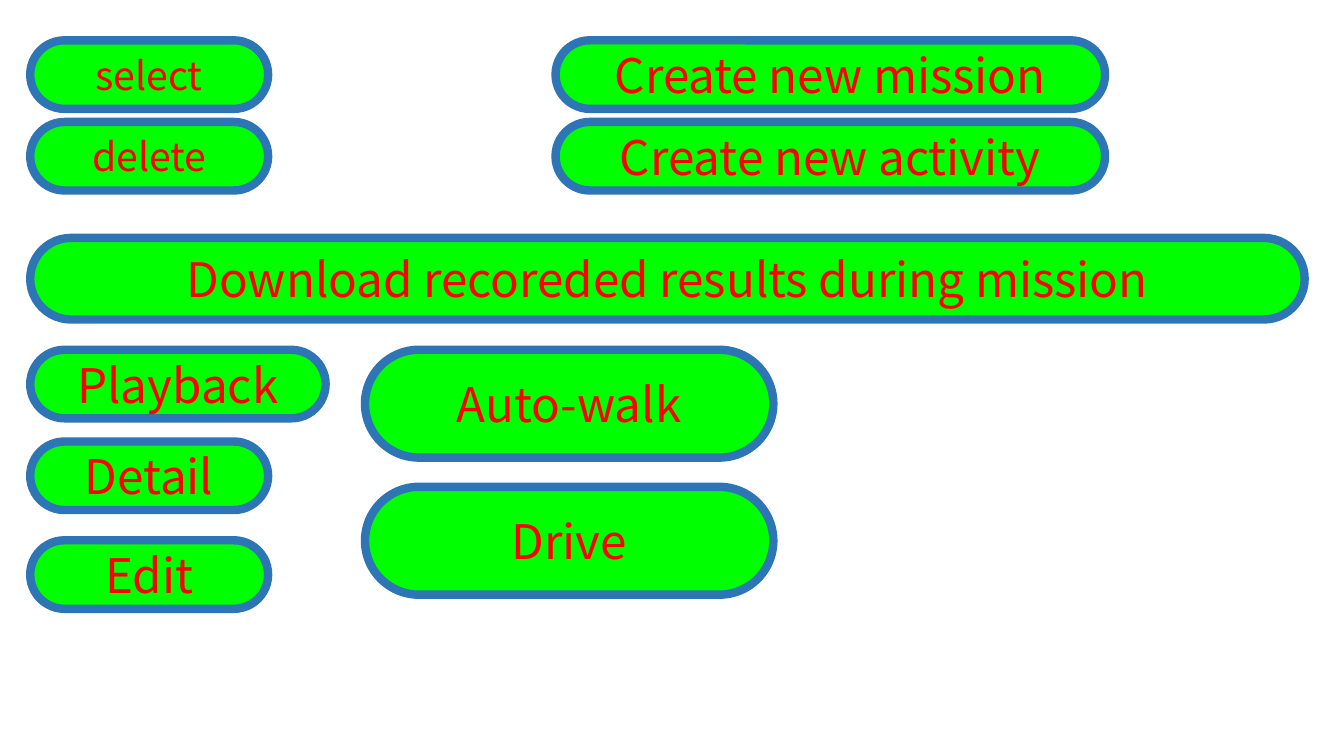
from pptx import Presentation
from pptx import util as u
from pptx.dml.color import RGBColor
from pptx.enum import shapes, text

PX = u.Inches(1) // 100  # 100 px to the inch
COLORS = {"fill": "00FF00", "border": "2E75B6", "label": "FF0000"}
FONT = "Noto Sans CJK KR"
LARGE, SMALL = 34, 28

LEFT, MIDDLE, RIGHT = 30, 362, 551
NARROW, PLAYBACK, MODE, CREATE, FULL = 236, 293, 405, 545, 1264
ROW, BANNER, TALL = 68, 81, 107

# label, left, top, width, height, font size
BUTTONS = [
    ("select", LEFT, 40, NARROW, ROW, SMALL),
    ("delete", LEFT, 121, NARROW, ROW, SMALL),
    ("Create new mission", RIGHT, 40, CREATE, ROW, LARGE),
    ("Create new activity", RIGHT, 121, CREATE, ROW, LARGE),
    ("Download recoreded results during mission", LEFT, 236, FULL, BANNER, LARGE),
    ("Playback", LEFT, 347, PLAYBACK, ROW, LARGE),
    ("Detail", LEFT, 438, NARROW, ROW, LARGE),
    ("Edit", LEFT, 536, NARROW, ROW, LARGE),
    ("Auto-walk", MIDDLE, 347, MODE, TALL, LARGE),
    ("Drive", MIDDLE, 483, MODE, TALL, LARGE),
]


def color(name):
    return RGBColor.from_string(COLORS[name])


def add_button(slide, label, left, top, width, height, size):
    shape = slide.shapes.add_shape(
        shapes.MSO_SHAPE.ROUNDED_RECTANGLE,
        left * PX, top * PX, width * PX, height * PX)
    shape.adjustments[0] = 0.5
    shape.shadow.inherit = False
    shape.fill.solid()
    shape.fill.fore_color.rgb = color("fill")
    shape.line.color.rgb = color("border")
    shape.line.width = u.Pt(6)

    frame = shape.text_frame
    frame.word_wrap = True
    frame.vertical_anchor = text.MSO_ANCHOR.MIDDLE
    paragraph = frame.paragraphs[0]
    paragraph.text = label
    paragraph.alignment = text.PP_ALIGN.CENTER
    paragraph.font.name = FONT
    paragraph.font.size = u.Pt(size)
    paragraph.font.color.rgb = color("label")


def main():
    presentation = Presentation()
    presentation.slide_width = 1333 * PX
    presentation.slide_height = 750 * PX
    blank_layout = presentation.slide_layouts[6]
    slide = presentation.slides.add_slide(blank_layout)
    for button in BUTTONS:
        add_button(slide, *button)
    presentation.save("out.pptx")


if __name__ == "__main__":
    main()
